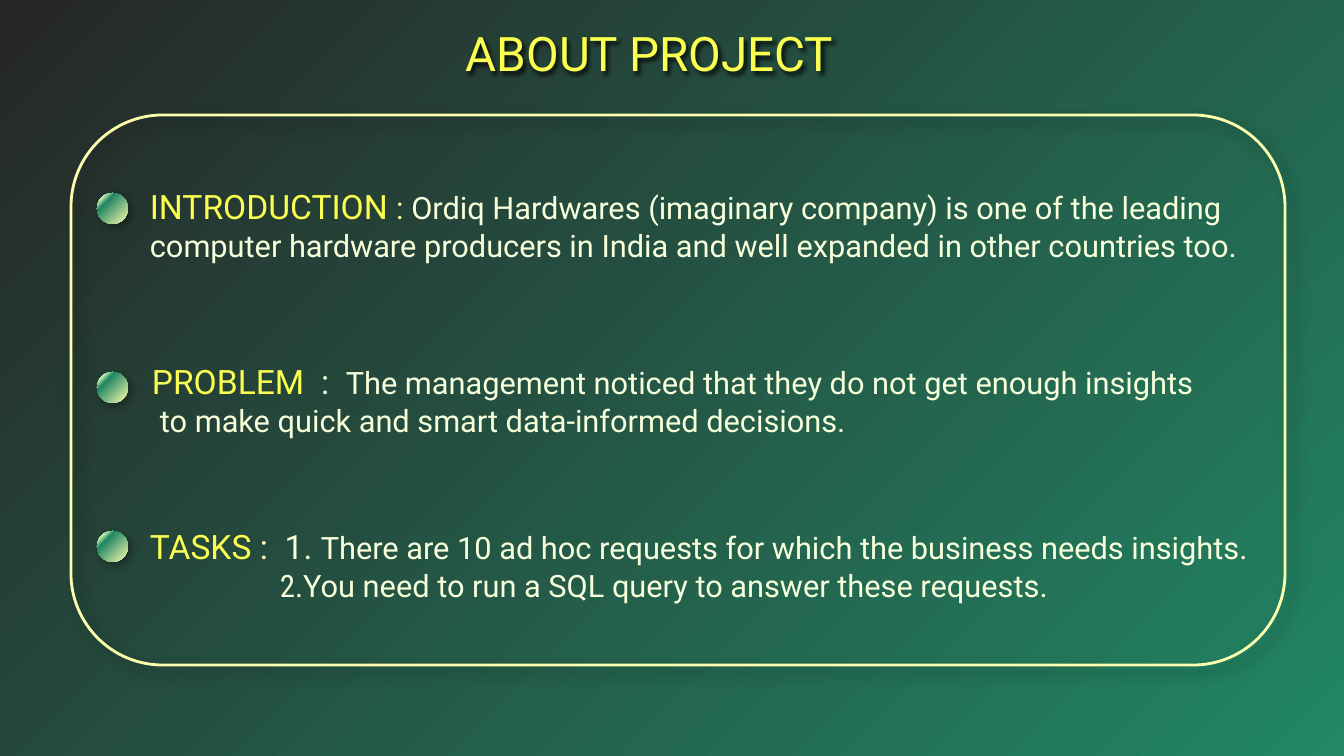
from lxml.etree import SubElement
from pptx import Presentation
from pptx.dml.color import RGBColor
from pptx.enum.shapes import MSO_SHAPE as Shape
from pptx.enum.text import PP_ALIGN as Align
from pptx.oxml.ns import qn
from pptx.util import Pt

YELLOW, CREAM, IVORY = "FBFF4F", "FDFFAE", "F8FFDB"
BACKDROP = [(0, "262626"), (100, "228765")]
BALL = [(0, "262626"), (15, "D6FFBE"), (30, "228765"), (100, "FDFFAE")]

FORMATS = {
    "title": dict(size=34, color=YELLOW, name="Roboto"),
    "heading": dict(size=24, color=YELLOW, name="Roboto"),
    "colon": dict(size=22, color=CREAM, name="Roboto"),
    "large colon": dict(size=24, color=CREAM, name="Roboto"),
    "large": dict(size=24, color=IVORY, name="Roboto"),
    "body": dict(size=22, color=IVORY, name="Roboto"),
    "narrow": dict(size=22, color=IVORY, name="Roboto Condensed"),
}

TITLE = [(0, [("ABOUT PROJECT", "title")])]
TOPICS = [
    dict(box=(140, 181, 1108, 126), ball_top=193, lines=[
        (0, [("INTRODUCTION ", "heading"), (": ", "colon"),
             ("Ordiq\u00a0Hardwares (imaginary company) is one of the leading "
              "computer hardware producers in India and well expanded in "
              "other countries too.", "body")]),
    ]),
    dict(box=(142, 356, 1073, 92), ball_top=372, lines=[
        (0, [("PROBLEM  ", "heading"), (":  ", "large"),
             ("The management noticed that they do not get enough insights",
              "body")]),
        (8, [("to make quick and smart data-informed decisions.", "body")]),
    ]),
    dict(box=(140, 521, 1188, 89), ball_top=531, lines=[
        (0, [("TASKS ", "heading"), (":  ", "large colon"), ("1. ", "large"),
             ("There are 10 ad hoc requests for which the business needs "
              "insights.", "body")]),
        (130, [("2.", "narrow"),
               ("You need to run a SQL query to answer these requests", "body"),
               (".", "narrow")]),
    ]),
]
BALL_LEFT, BALL_SIZE = 97, 31
WIDTH, HEIGHT = 1344, 756
EMU_PER_PX = 12192000 / WIDTH


def px(length):
    return round(length * EMU_PER_PX)


def rgb(color):
    return RGBColor.from_string(color)


def add_shadow(shape, alpha, blur, distance, angle=45):
    shape.shadow.inherit = False
    effects = shape._element.spPr.find(qn("a:effectLst"))
    outer = SubElement(effects, qn("a:outerShdw"), blurRad=str(Pt(blur)),
                       dist=str(Pt(distance)), dir=str(angle * 60000),
                       algn="tl", rotWithShape="0")
    tint = SubElement(outer, qn("a:srgbClr"), val="000000")
    SubElement(tint, qn("a:alpha"), val=str(alpha * 1000))


def add_shape(slide, kind, box, stops=None):
    shape = slide.shapes.add_shape(kind, *map(px, box))
    shape.shadow.inherit = False
    shape.line.fill.background()
    if not stops:
        shape.fill.background()
        return shape
    shape.fill.gradient()
    shape.fill.gradient_angle = 315
    stop_list = shape._element.spPr.find(".//" + qn("a:gsLst"))
    for stop in list(stop_list):
        stop_list.remove(stop)
    for position, color in stops:
        stop = SubElement(stop_list, qn("a:gs"), pos=str(position * 1000))
        SubElement(stop, qn("a:srgbClr"), val=color)
    return shape


def add_text(slide, box, lines, align=Align.LEFT, spacing=1.0):
    holder = slide.shapes.add_textbox(*map(px, box))
    frame = holder.text_frame
    frame.word_wrap = True
    for index, (indent, runs) in enumerate(lines):
        paragraph = frame.add_paragraph() if index else frame.paragraphs[0]
        paragraph.alignment = align
        paragraph.line_spacing = spacing
        if indent:
            paragraph._p.get_or_add_pPr().set("marL", str(px(indent)))
        for words, style in runs:
            run = paragraph.add_run()
            run.text = words
            look = FORMATS[style]
            run.font.color.rgb = rgb(look["color"])
            for key, value in dict(size=Pt(look["size"]),
                                   name=look["name"]).items():
                setattr(run.font, key, value)
    return holder


def main():
    deck = Presentation()
    deck.slide_width, deck.slide_height = px(WIDTH), px(HEIGHT)
    slide = deck.slides.add_slide(deck.slide_layouts[6])

    add_shape(slide, Shape.RECTANGLE, (0, -6, 1355, 762), BACKDROP)
    panel = add_shape(slide, Shape.ROUNDED_RECTANGLE, (71, 115, 1214, 550))
    panel.line.color.rgb = rgb(CREAM)
    panel.line.width = Pt(2)
    add_shadow(panel, 40, 10, 7)

    title = add_text(slide, (436, 25, 427, 87), TITLE, Align.CENTER, 0.9)
    add_shadow(title, 80, 3, 3, 60)

    for topic in TOPICS:
        add_text(slide, topic["box"], topic["lines"])
        ball = add_shape(slide, Shape.FLOWCHART_CONNECTOR,
                         (BALL_LEFT, topic["ball_top"], BALL_SIZE, BALL_SIZE),
                         BALL)
        add_shadow(ball, 40, 7, 3)

    deck.save("out.pptx")


if __name__ == "__main__":
    main()
